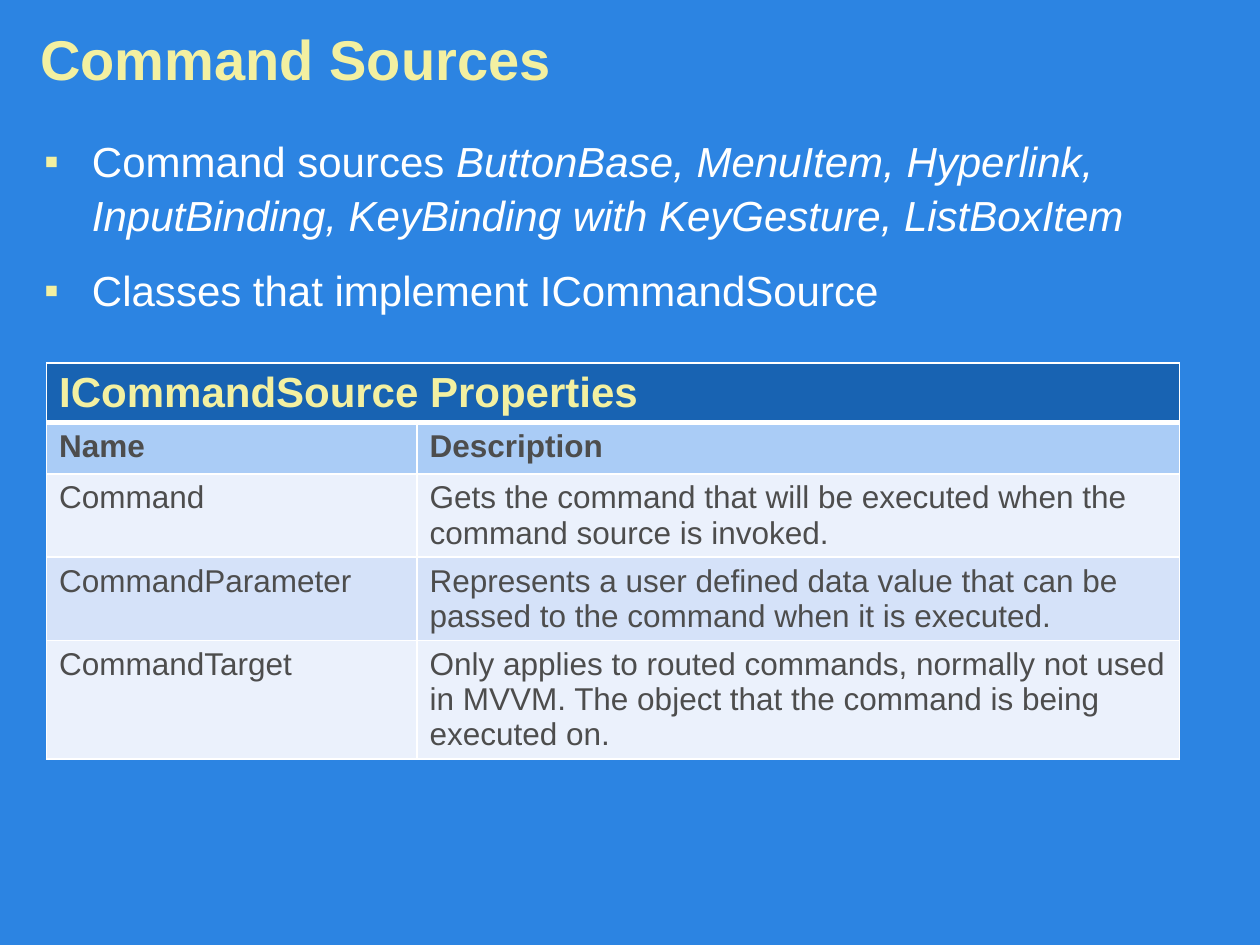
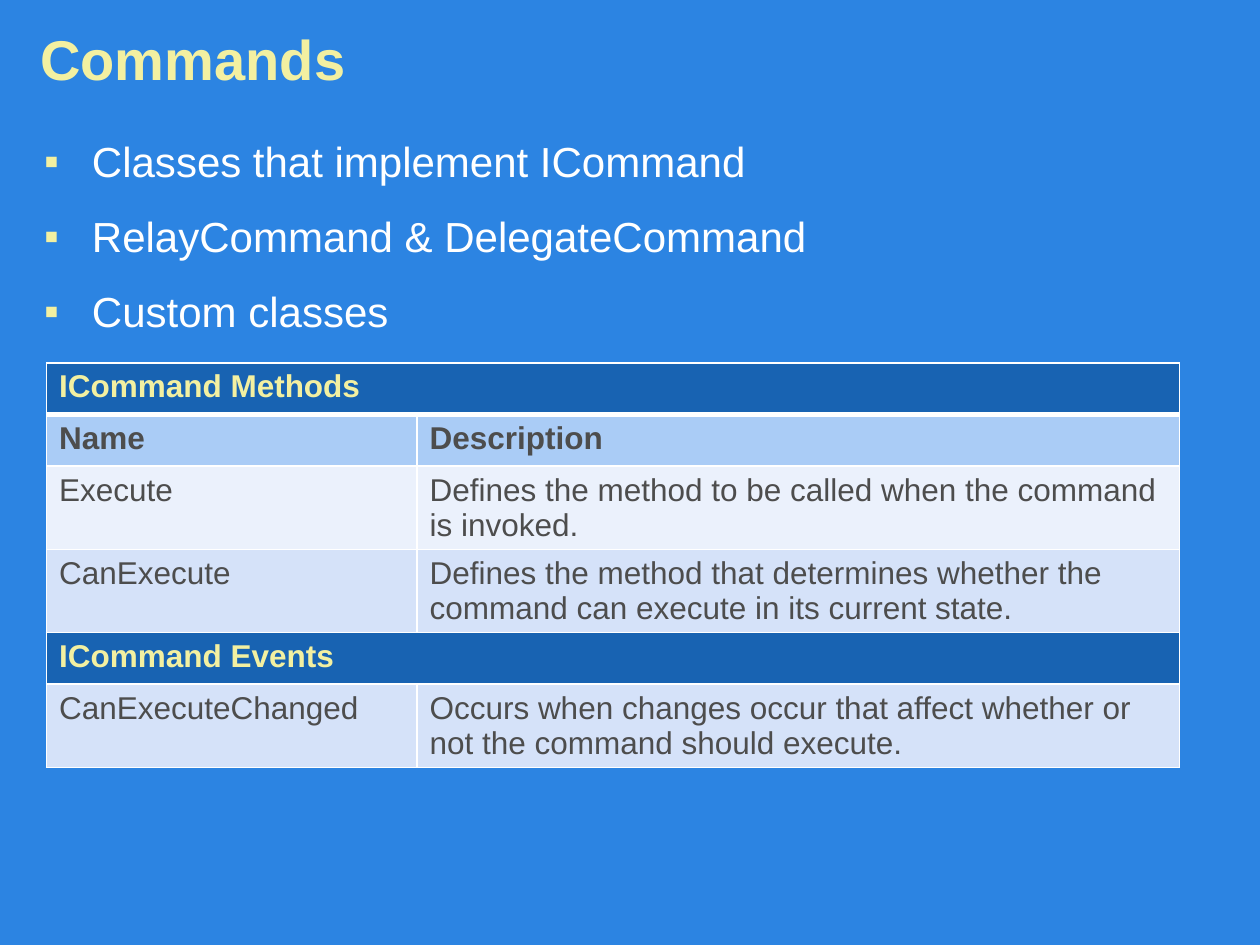
"""Build two slides on command sources and commands, each with bullets and a table."""
from dataclasses import dataclass

from lxml import etree
from pptx import Presentation
from pptx.dml.color import RGBColor
from pptx.enum import text
from pptx.oxml import ns
from pptx.util import Inches, Pt


@dataclass(frozen=True)
class Theme:
    font: str = "Arial"
    background: str = "2C84E2"
    accent: str = "F3F0A1"
    white: str = "FFFFFF"
    ink: str = "4D4D4D"
    band: str = "1863B2"
    heading: str = "AACCF6"
    stripes: tuple = ("EBF1FC", "D5E2F9")
    title_size: int = 32
    body_size: int = 24
    table_size: int = 18
    border: float = 1
    heavy_border: float = 3


THEME = Theme()
TITLE_BOX = (0.22, 0.2, 9.56, 0.52)
BODY_BOX = (0.25, 1, 9.56, 1.71)
TABLE_LEFT, TABLE_TOP = 0.37, 2.88
COLUMN_WIDTHS = (2.94, 6.05)
ROW_HEIGHT = 0.41
BULLET_INDENT = 0.38

SLIDES = [
    {
        "title": "Command Sources",
        "bullets": [
            [("Command sources ", False),
             ("ButtonBase, MenuItem, Hyperlink, InputBinding, "
              "KeyBinding with KeyGesture, ListBoxItem", True)],
            [("Classes that implement ICommandSource", False)],
        ],
        "first_band_size": THEME.body_size,
        "rows": [
            ("ICommandSource Properties",),
            ("Name", "Description"),
            ("Command", "Gets the command that will be executed when the "
                        "command source is invoked."),
            ("CommandParameter", "Represents a user defined data value that can be "
                                 "passed to the command when it is executed."),
            ("CommandTarget", "Only applies to routed commands, normally not used in "
                              "MVVM. The object that the command is being executed on."),
        ],
    },
    {
        "title": "Commands",
        "bullets": [
            [("Classes that implement ICommand", False)],
            [("RelayCommand & DelegateCommand", False)],
            [("Custom classes", False)],
        ],
        "first_band_size": THEME.table_size,
        "rows": [
            ("ICommand Methods",),
            ("Name", "Description"),
            ("Execute", "Defines the method to be called when the command is invoked."),
            ("CanExecute", "Defines the method that determines whether the command "
                           "can execute in its current state."),
            ("ICommand Events",),
            ("CanExecuteChanged", "Occurs when changes occur that affect whether or "
                                  "not the command should execute."),
        ],
    },
]


def add_run(paragraph, words, size, color, bold=False, italic=False):
    run = paragraph.add_run()
    run.text = words
    font = run.font
    font.name, font.size, font.bold, font.italic = THEME.font, Pt(size), bold, italic
    font.color.rgb = RGBColor.from_string(color)


def place(shape, box, anchor):
    shape.left, shape.top, shape.width, shape.height = map(Inches, box)
    frame = shape.text_frame
    frame.auto_size = text.MSO_AUTO_SIZE.NONE
    frame.word_wrap = True
    frame.vertical_anchor = anchor
    return frame


def add_title(slide, words):
    frame = place(slide.shapes.title, TITLE_BOX, text.MSO_ANCHOR.MIDDLE)
    paragraph = frame.paragraphs[0]
    paragraph.alignment = text.PP_ALIGN.LEFT
    add_run(paragraph, words, THEME.title_size, THEME.accent, bold=True)


def set_bullet(paragraph):
    properties = paragraph._p.get_or_add_pPr()
    properties.set("marL", str(Inches(BULLET_INDENT)))
    properties.set("indent", str(-Inches(BULLET_INDENT)))
    color = etree.SubElement(properties, ns.qn("a:buClr"))
    etree.SubElement(color, ns.qn("a:srgbClr"), val=THEME.accent)
    etree.SubElement(properties, ns.qn("a:buFont"), typeface=THEME.font)
    etree.SubElement(properties, ns.qn("a:buChar"), char="\u25aa")


def add_bullets(slide, bullets):
    frame = place(slide.placeholders[1], BODY_BOX, text.MSO_ANCHOR.TOP)
    for index, runs in enumerate(bullets):
        paragraph = frame.add_paragraph() if index else frame.paragraphs[0]
        paragraph.line_spacing = 1.07
        paragraph.space_before = paragraph.space_after = Pt(THEME.body_size / 4)
        set_bullet(paragraph)
        for words, italic in runs:
            add_run(paragraph, words, THEME.body_size, THEME.white, italic=italic)


def set_borders(cell, row_index):
    widths = {
        "L": THEME.border,
        "R": THEME.border,
        "T": THEME.heavy_border if row_index == 1 else THEME.border,
        "B": THEME.heavy_border if row_index == 0 else THEME.border,
    }
    properties = cell._tc.get_or_add_tcPr()
    for side, width in widths.items():
        line = etree.SubElement(properties, ns.qn(f"a:ln{side}"), w=str(Pt(width)))
        fill = etree.SubElement(line, ns.qn("a:solidFill"))
        etree.SubElement(fill, ns.qn("a:srgbClr"), val=THEME.white)


def row_style(index, row):
    if len(row) == 1:
        return THEME.band, THEME.accent, True
    if index == 1:
        return THEME.heading, THEME.ink, True
    return THEME.stripes[index % 2], THEME.ink, False


def add_property_table(slide, rows, first_band_size):
    table = slide.shapes.add_table(
        len(rows), len(COLUMN_WIDTHS), Inches(TABLE_LEFT), Inches(TABLE_TOP),
        Inches(sum(COLUMN_WIDTHS)), Inches(ROW_HEIGHT * len(rows))).table
    for column, width in zip(table.columns, COLUMN_WIDTHS):
        column.width = Inches(width)
    for index, row in enumerate(rows):
        table.rows[index].height = Inches(ROW_HEIGHT)
        fill, color, bold = row_style(index, row)
        size = THEME.table_size if index else first_band_size
        cells = list(table.rows[index].cells)
        for cell in cells:
            set_borders(cell, index)
            cell.fill.solid()
            cell.fill.fore_color.rgb = RGBColor.from_string(fill)
        if len(row) == 1:
            cells[0].merge(cells[-1])
        for cell, words in zip(cells, row):
            add_run(cell.text_frame.paragraphs[0], words, size, color, bold)


def main():
    presentation = Presentation()
    presentation.slide_width, presentation.slide_height = Inches(10), Inches(7.5)
    background = presentation.slide_master.background.fill
    background.solid()
    background.fore_color.rgb = RGBColor.from_string(THEME.background)
    for content in SLIDES:
        slide = presentation.slides.add_slide(presentation.slide_layouts[1])
        add_title(slide, content["title"])
        add_bullets(slide, content["bullets"])
        add_property_table(slide, content["rows"], content["first_band_size"])
    presentation.save("out.pptx")


main()
